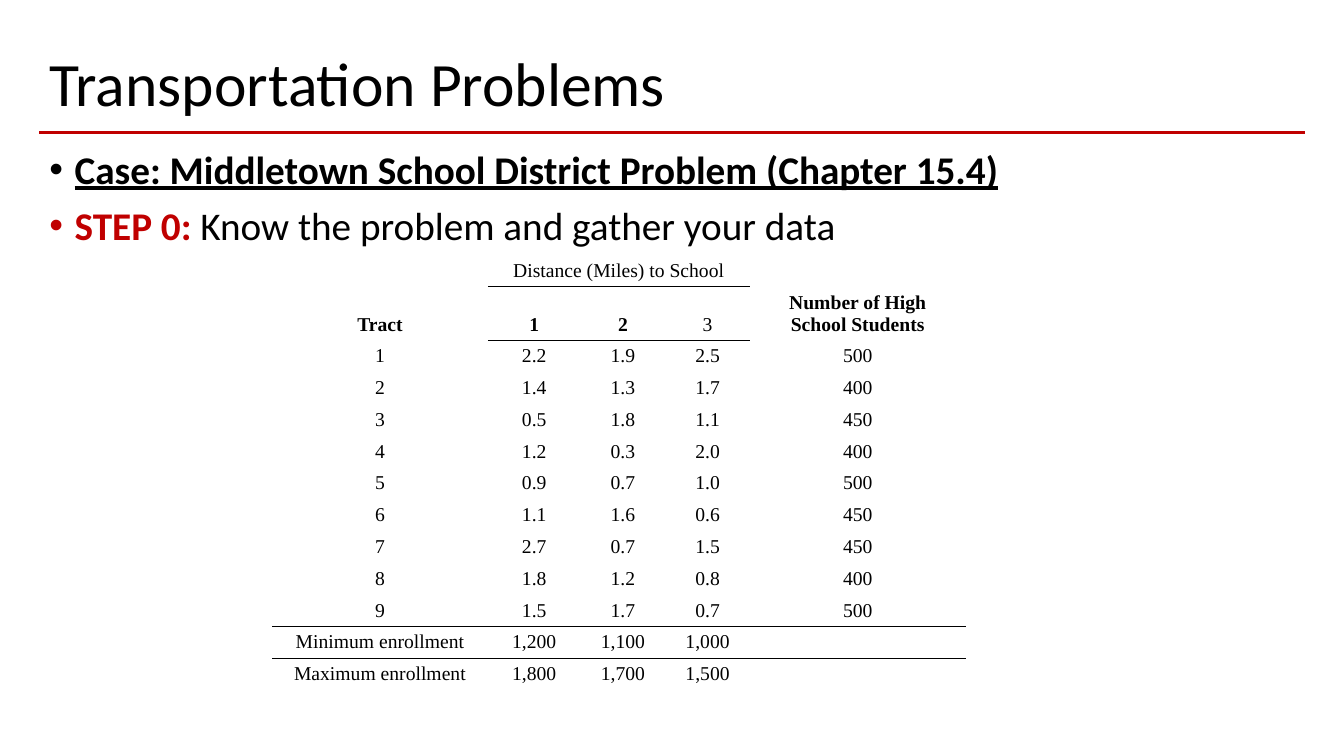
from lxml.etree import SubElement
from pptx import Presentation
from pptx.dml.color import RGBColor
from pptx.enum.shapes import MSO_CONNECTOR as Conn
from pptx.enum.text import MSO_ANCHOR as Anchor, MSO_AUTO_SIZE as Fit, PP_ALIGN as Align
from pptx.oxml import parse_xml
from pptx.oxml.ns import nsdecls, qn
from pptx.util import Inches, Pt

BLACK = RGBColor(0, 0, 0)
RED = RGBColor(0xC0, 0, 0)
PLAIN = "{2D5ABB26-0587-4C30-8999-92F81FD0307C}"
LEFT, WIDE = 2.93, 94.15

HEADS = [
    ["", "Distance (Miles) to School", "", "", ""],
    ["Tract", "1", "2", "3", "Number of High School Students"],
]
MILES = [
    (2.2, 1.9, 2.5, 500), (1.4, 1.3, 1.7, 400), (0.5, 1.8, 1.1, 450),
    (1.2, 0.3, 2.0, 400), (0.9, 0.7, 1.0, 500), (1.1, 1.6, 0.6, 450),
    (2.7, 0.7, 1.5, 450), (1.8, 1.2, 0.8, 400), (1.5, 1.7, 0.7, 500),
]
LIMITS = [
    ["Minimum enrollment", "1,200", "1,100", "1,000", ""],
    ["Maximum enrollment", "1,800", "1,700", "1,500", ""],
]
TRACTS = [[str(v) for v in (n, *row)] for n, row in enumerate(MILES, 1)]
ROWS = HEADS + TRACTS + LIMITS


class Deck:
    """Style and current slide; lengths are in a grid of 100 columns by 100 rows."""

    def __init__(self):
        self.show = Presentation()
        self.show.slide_width = Inches(13.33)
        self.show.slide_height = Inches(7.5)
        self.slide = self.show.slides.add_slide(self.show.slide_layouts[1])

    def cols(self, n):
        return round(self.show.slide_width * n / 100)

    def rows(self, n):
        return round(self.show.slide_height * n / 100)

    def box(self, x, y, w, h):
        return self.cols(x), self.rows(y), self.cols(w), self.rows(h)

    def font(self, font, size, bold=False, face="Calibri", color=BLACK):
        font.name, font.size, font.bold = face, Pt(size), bold
        font.color.rgb = color

    def place(self, item, box, anchor):
        item.left, item.top, item.width, item.height = self.box(*box)
        frame = item.text_frame
        frame.auto_size, frame.word_wrap = Fit.NONE, True
        frame.vertical_anchor = anchor
        return frame

    def title(self, text, box):
        frame = self.place(self.slide.shapes.title, box, Anchor.MIDDLE)
        frame.text = text
        para = frame.paragraphs[0]
        para.alignment, para.line_spacing = Align.LEFT, 0.9
        self.font(para.font, 44)

    def rule(self, x, y, w):
        line = self.slide.shapes.add_connector(
            Conn.STRAIGHT, self.cols(x), self.rows(y), self.cols(x + w), self.rows(y))
        line.line.color.rgb, line.line.width = RED, Pt(2.25)
        SubElement(line.element.spPr, qn("a:effectLst"))

    def list(self, items, box):
        """Each item is a list of runs: text, colour, bold, underline."""
        frame = self.place(self.slide.placeholders[1], box, Anchor.TOP)
        for n, runs in enumerate(items):
            para = frame.add_paragraph() if n else frame.paragraphs[0]
            props = para._p.get_or_add_pPr()
            props.set("marL", str(Inches(0.25)))
            props.set("indent", str(-Inches(0.25)))
            SubElement(props, qn("a:buChar"), char="•")
            para.line_spacing, para.space_before = 0.9, Pt(10 if n else 0)
            for text, color, bold, under in runs:
                run = para.add_run()
                run.text = text
                self.font(run.font, 28, bold, color=color)
                run.font.underline = under

    def edge(self, cell, side):
        cell._tc.get_or_add_tcPr().insert(0, parse_xml(
            f'<a:ln{side} {nsdecls("a")} w="{Pt(1)}"><a:solidFill>'
            f'<a:srgbClr val="{BLACK}"/></a:solidFill></a:ln{side}>'))

    def cell(self, cell, text, bold, anchor):
        cell.fill.background()
        cell.vertical_anchor = anchor
        if not text:
            cell.margin_top = cell.margin_bottom = 0
            return
        cell.text = text
        para = cell.text_frame.paragraphs[0]
        para.alignment = Align.CENTER
        self.font(para.font, 14, bold, "Times New Roman")

    def table(self, data, x, y, wides, highs):
        box = self.box(x, y, sum(wides), sum(highs))
        frame = self.slide.shapes.add_table(len(data), len(wides), *box)
        next(frame.element.iter(qn("a:tableStyleId"))).text = PLAIN
        table = frame.table
        table.first_row = table.horz_banding = False
        for col, wide in zip(table.columns, wides):
            col.width = self.cols(wide)
        for row, high in zip(table.rows, highs):
            row.height = self.rows(high)
        for r, row in enumerate(data):
            for c, text in enumerate(row):
                anchor = Anchor.BOTTOM if r < len(HEADS) else Anchor.MIDDLE
                self.cell(table.cell(r, c), text, r == 1 and c != 3, anchor)
        table.cell(0, 1).merge(table.cell(0, 3))
        last = len(HEADS) + len(TRACTS) - 1
        for above, span in ((0, range(1, 4)), (last, range(5))):
            for c in span:
                self.edge(table.cell(above, c), "B")
                self.edge(table.cell(above + 1, c), "T")


def main():
    deck = Deck()
    deck.rule(LEFT, 17.47, WIDE)
    deck.title("Transportation Problems", (LEFT, 5.33, WIDE, 12.27))
    deck.list([
        [("Case: Middletown School District Problem (Chapter 15.4)", BLACK, True, True)],
        [("STEP 0: ", RED, True, False),
         ("Know the problem and gather your data", BLACK, False, False)],
    ], (LEFT, 19.2, WIDE, 70.93))
    highs = [4.2, 7.07] + [4.2] * (len(ROWS) - 2)
    deck.table(ROWS, 20.25, 33.73, [16.05, 6.9, 6.3, 6.3, 16.05], highs)
    deck.show.save("out.pptx")


if __name__ == "__main__":
    main()
